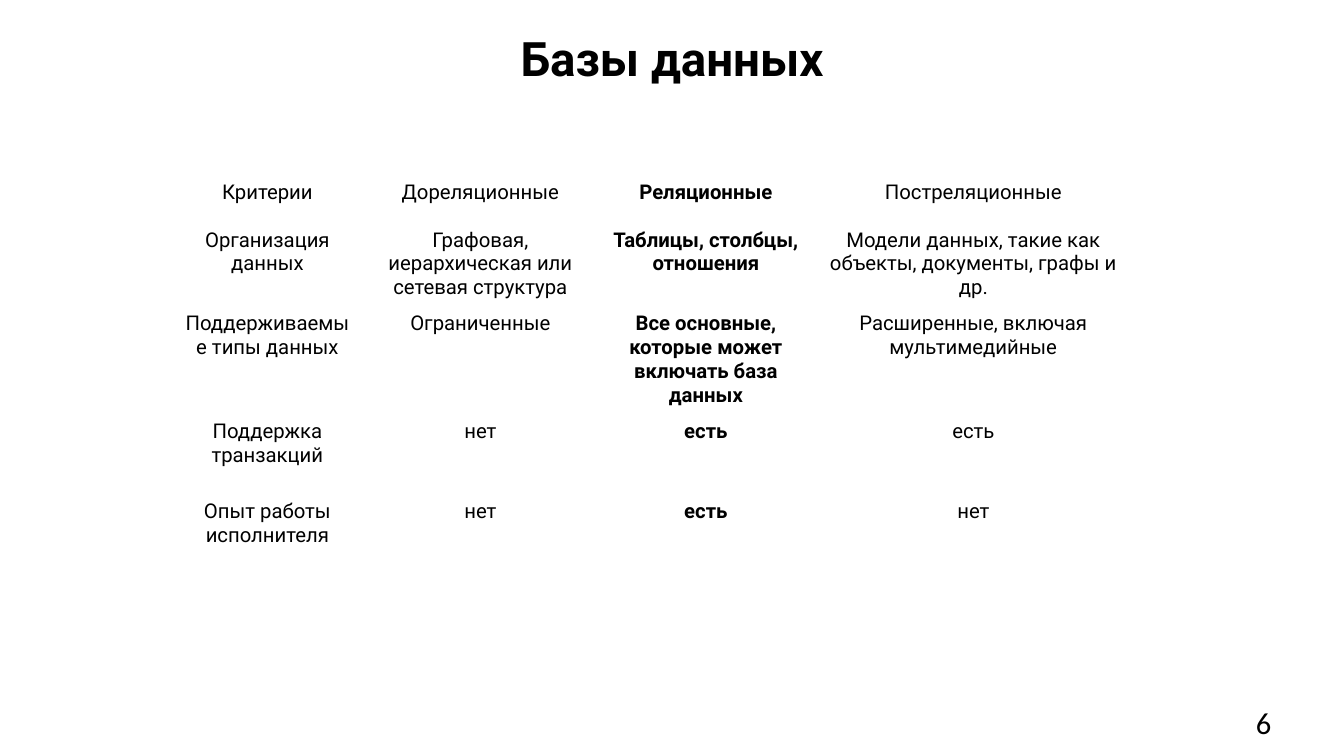
import pptx
import pptx.util
import pptx.dml.color
import pptx.enum.text

SCALE = 914400 / 122
FONT = "Roboto"
BLACK = "000000"
COLS = [195, 231, 220, 315]
ROWS = [48, 80, 80, 80, 60]
BOLD = 2
DATA = [
    ["Критерии", "Дореляционные", "Реляционные", "Постреляционные"],
    ["Организация данных", "Графовая, иерархическая или сетевая структура",
     "Таблицы, столбцы, отношения",
     "Модели данных, такие как объекты, документы, графы и др."],
    ["Поддерживаемые типы данных", "Ограниченные",
     "Все основные, которые может включать база данных",
     "Расширенные, включая мультимедийные"],
    ["Поддержка транзакций", "нет", "есть", "есть"],
    ["Опыт работы исполнителя", "нет", "есть", "нет"],
]


def px(n):
    return pptx.util.Emu(round(n * SCALE))


def color(code):
    return pptx.dml.color.RGBColor.from_string(code)


def write(frame, text, size, font=FONT, bold=False, center=True):
    align = pptx.enum.text.PP_ALIGN
    para = frame.paragraphs[0]
    para.alignment = align.CENTER if center else align.LEFT
    run = para.add_run()
    run.text = text
    run.font.name = font
    run.font.size = pptx.util.Pt(size)
    run.font.bold = bold
    run.font.color.rgb = color(BLACK)


def add_title(slide, text, x, y, w, h):
    title = slide.shapes.title
    title.left, title.top, title.width, title.height = map(px, (x, y, w, h))
    frame = title.text_frame
    frame.margin_left = frame.margin_right = 0
    frame.margin_top = frame.margin_bottom = 0
    frame.vertical_anchor = pptx.enum.text.MSO_ANCHOR.MIDDLE
    write(frame, text, 28, bold=True)


def add_grid(slide, x, y):
    box = slide.shapes.add_table(len(ROWS), len(COLS), px(x), px(y),
                                 px(sum(COLS)), px(sum(ROWS)))
    table = box.table
    table.first_row = table.horz_banding = False
    for col, width in zip(table.columns, COLS):
        col.width = px(width)
    for row, height, texts in zip(table.rows, ROWS, DATA):
        row.height = px(height)
        for i, (cell, text) in enumerate(zip(row.cells, texts)):
            cell.fill.background()
            write(cell.text_frame, text, 12, bold=i == BOLD)


def add_number(slide, text, x, y, w, h):
    box = slide.shapes.add_textbox(px(x), px(y), px(w), px(h))
    box.text_frame.word_wrap = True
    write(box.text_frame, text, 18, font="Calibri", center=False)


def main():
    deck = pptx.Presentation()
    deck.slide_width, deck.slide_height = px(1344), px(756)
    slide = deck.slides.add_slide(deck.slide_layouts[5])
    add_title(slide, "Базы данных", 67, -6, 1210, 127)
    add_grid(slide, 170, 174)
    add_number(slide, "6", 1244, 698, 100, 57)
    deck.save("out.pptx")


if __name__ == "__main__":
    main()
